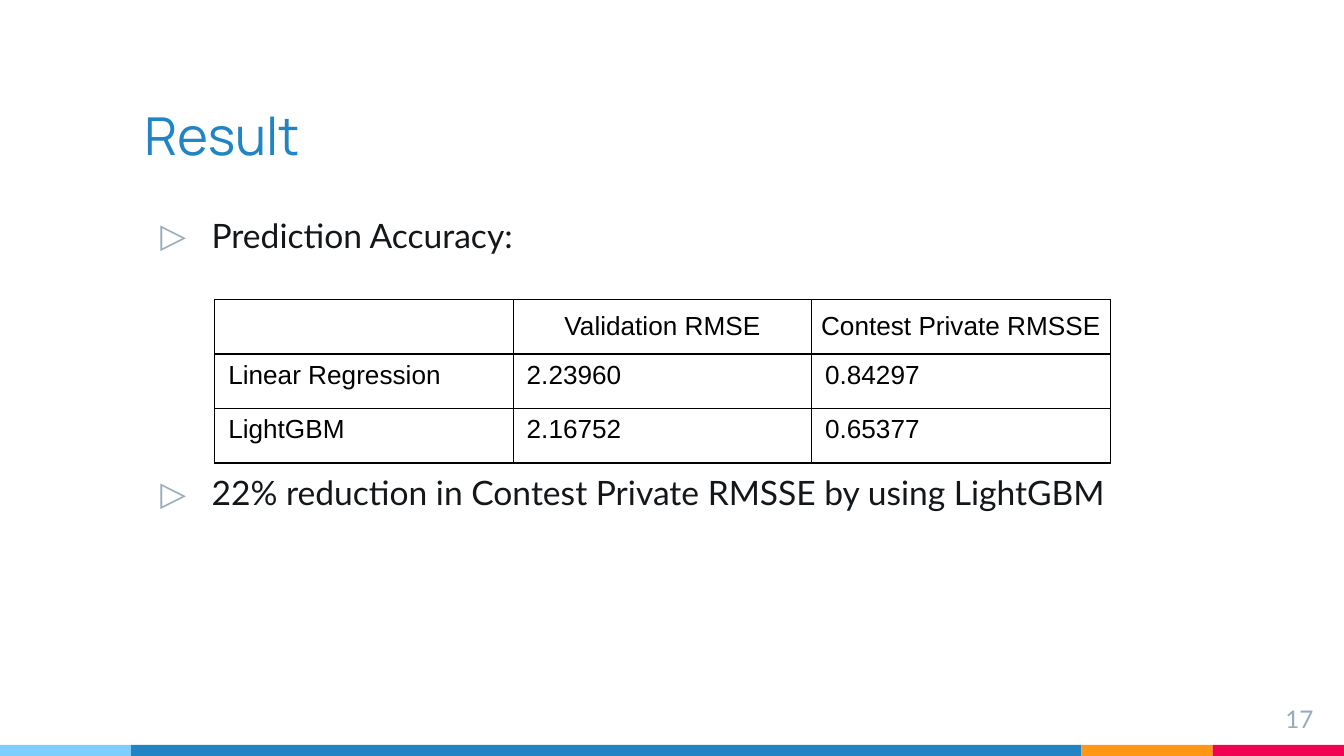
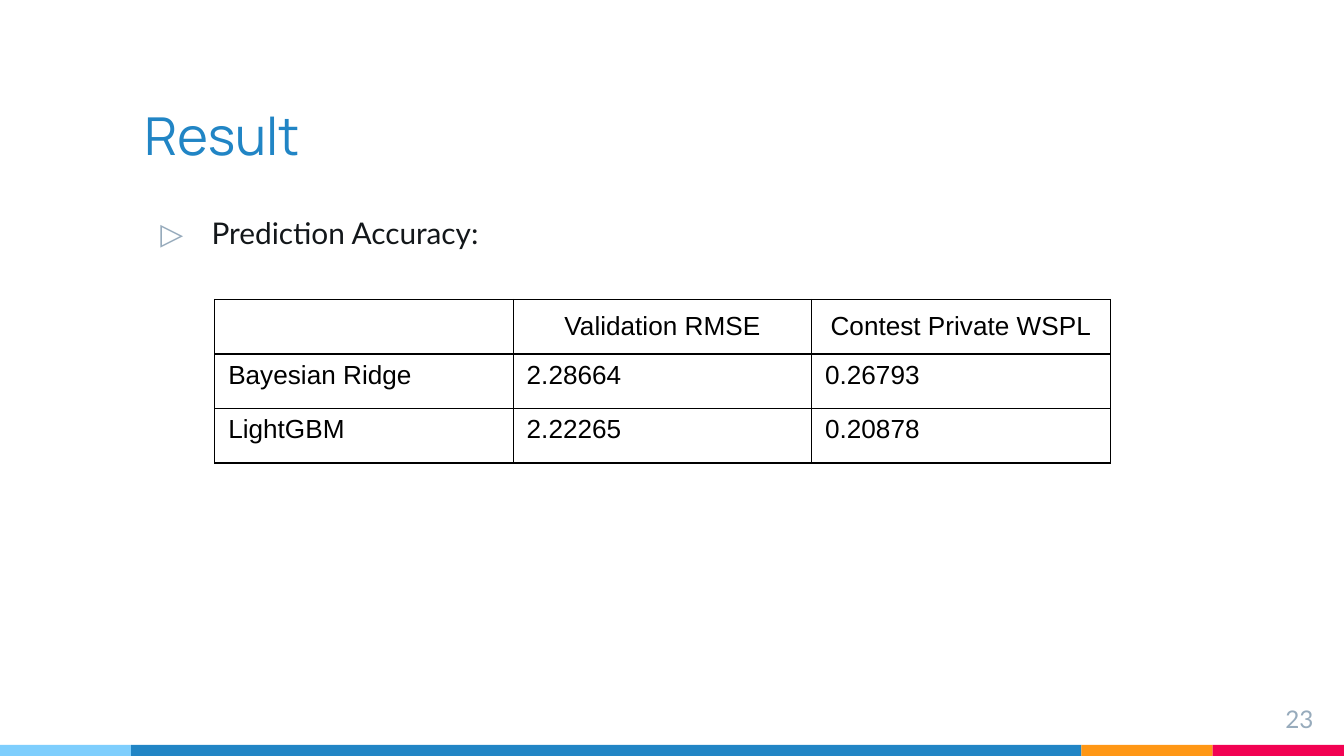
from lxml.etree import SubElement
from pptx import Presentation
from pptx.dml.color import RGBColor
from pptx.enum.shapes import MSO_SHAPE
from pptx.enum.text import MSO_ANCHOR, PP_ALIGN
from pptx.oxml import parse_xml
from pptx.oxml.ns import nsdecls, qn
from pptx.util import Cm, Pt

BLUE, SKY, ORANGE, PINK = "2185C5", "7ECEFD", "FF9715", "F20253"
INK, GREY, BLACK = "13171A", "97ABBC", "000000"
TITLE_FONT, BODY_FONT, TABLE_FONT = "Manrope", "Lato", "Arial"

WIDTH, HEIGHT = 25.4, 14.29
BAND_HEIGHT = 0.21
BANDS = [(SKY, 2.48), (BLUE, 17.96), (ORANGE, 2.48), (PINK, 2.48)]
MARGIN, INSET = 2.48, 0.25
COLUMN_WIDTH, ROW_HEIGHT = 5.64, 1.03


def color(value):
    return RGBColor.from_string(value)


class Deck:
    """Holds the shared style and the slide being filled."""

    def __init__(self):
        self.presentation = Presentation()
        self.presentation.slide_width = Cm(WIDTH)
        self.presentation.slide_height = Cm(HEIGHT)
        self.slide = None

    def start(self, heading, number):
        layout = self.presentation.slide_layouts[6]
        self.slide = self.presentation.slides.add_slide(layout)
        self.bands()
        title = self.frame(MARGIN, 0.99, 17.96, 2.39, MSO_ANCHOR.BOTTOM)
        self.run(title.paragraphs[0], heading, TITLE_FONT, 28, BLUE)
        footer = self.frame(23.55, 13.06, 1.52, 0.86).paragraphs[0]
        footer.alignment = PP_ALIGN.RIGHT
        self.run(footer, str(number), BODY_FONT, 13, GREY)

    def bands(self):
        left = 0
        for fill, width in BANDS:
            band = self.slide.shapes.add_shape(
                MSO_SHAPE.RECTANGLE, Cm(left), Cm(HEIGHT - BAND_HEIGHT),
                Cm(width), Cm(BAND_HEIGHT))
            band.shadow.inherit = False
            band.fill.solid()
            band.fill.fore_color.rgb = color(fill)
            band.line.fill.background()
            left += width

    def frame(self, left, top, width, height, anchor=MSO_ANCHOR.TOP):
        box = self.slide.shapes.add_textbox(Cm(left), Cm(top), Cm(width), Cm(height))
        frame = box.text_frame
        frame.word_wrap = True
        frame.vertical_anchor = anchor
        frame.margin_left = frame.margin_right = Cm(INSET)
        frame.margin_top = frame.margin_bottom = Cm(INSET)
        return frame

    def run(self, paragraph, words, font, size, ink):
        run = paragraph.add_run()
        run.text = words
        run.font.name = font
        run.font.size = Pt(size)
        run.font.color.rgb = color(ink)

    def bullets(self, points, size, gap=0):
        """Write bulleted points, with gap in points of text size between them."""
        body = self.frame(MARGIN, 3.81, 18.85, 9.86)
        for index, point in enumerate(points):
            paragraph = body.add_paragraph() if index else body.paragraphs[0]
            properties = paragraph._p.get_or_add_pPr()
            properties.set("marL", str(Cm(1.27)))
            properties.set("indent", str(Cm(-0.97)))
            tint = SubElement(properties, qn("a:buClr"))
            SubElement(tint, qn("a:srgbClr")).set("val", GREY)
            SubElement(properties, qn("a:buFont")).set("typeface", BODY_FONT)
            SubElement(properties, qn("a:buChar")).set("char", "▷")
            if index:
                paragraph.space_before = Pt(gap)
            self.run(paragraph, point, BODY_FONT, size, INK)

    def table(self, rows):
        columns = len(rows[0])
        table = self.slide.shapes.add_table(
            len(rows), columns, Cm(4.06), Cm(5.66),
            Cm(COLUMN_WIDTH * columns), Cm(ROW_HEIGHT * len(rows))).table
        table.first_row = table.horz_banding = False
        for column in table.columns:
            column.width = Cm(COLUMN_WIDTH)
        for row_index, values in enumerate(rows):
            table.rows[row_index].height = Cm(ROW_HEIGHT)
            for column_index, value in enumerate(values):
                cell = table.cell(row_index, column_index)
                cell.fill.background()
                self.borders(cell)
                if not value:
                    continue
                paragraph = cell.text_frame.paragraphs[0]
                if row_index == 0:
                    cell.vertical_anchor = MSO_ANCHOR.MIDDLE
                    cell.margin_left = cell.margin_right = 0
                    cell.margin_top = cell.margin_bottom = 0
                    paragraph.alignment = PP_ALIGN.CENTER
                self.run(paragraph, value, TABLE_FONT, 14, BLACK)

    def borders(self, cell):
        properties = cell._tc.get_or_add_tcPr()
        for index, side in enumerate("LRTB"):
            properties.insert(index, parse_xml(
                f'<a:ln{side} {nsdecls("a")} w="{Pt(0.75)}"><a:solidFill>'
                f'<a:srgbClr val="{BLACK}"/></a:solidFill></a:ln{side}>'))


def main():
    deck = Deck()

    deck.start("Result", 17)
    deck.bullets(["Prediction Accuracy:",
                  "22% reduction in Contest Private RMSSE by using LightGBM"],
                 size=18, gap=116.4)
    deck.table([["", "Validation RMSE", "Contest Private RMSSE"],
                ["Linear Regression", "2.23960", "0.84297"],
                ["LightGBM", "2.16752", "0.65377"]])

    deck.start("Result", 23)
    deck.bullets(["Prediction Accuracy:"], size=16)
    deck.table([["", "Validation RMSE", "Contest Private WSPL"],
                ["Bayesian Ridge", "2.28664", "0.26793"],
                ["LightGBM", "2.22265", "0.20878"]])

    deck.presentation.save("out.pptx")


if __name__ == "__main__":
    main()
